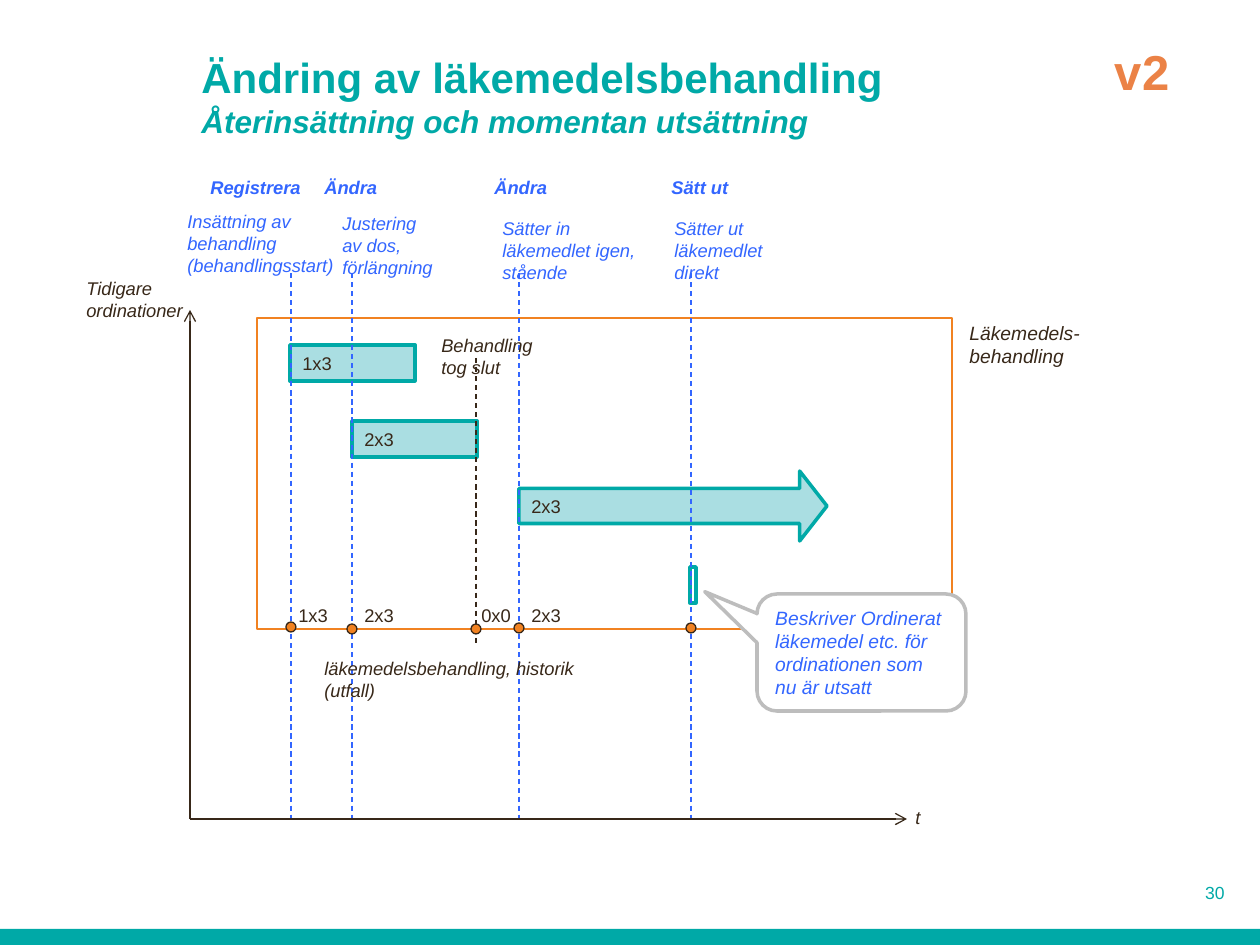
from pptx import Presentation
from pptx.dml.color import RGBColor
from pptx.enum.dml import MSO_LINE
from pptx.enum.shapes import MSO_CONNECTOR, MSO_SHAPE
from pptx.enum.text import MSO_ANCHOR, PP_ALIGN
from pptx.oxml.ns import qn
from pptx.util import Pt
from lxml import etree

PX = 914400 / 126
DASH = MSO_LINE.DASH
STRAIGHT = MSO_CONNECTOR.STRAIGHT
RECT, OVAL = MSO_SHAPE.RECTANGLE, MSO_SHAPE.OVAL
ARROW, BUBBLE = MSO_SHAPE.RIGHT_ARROW, MSO_SHAPE.ROUNDED_RECTANGULAR_CALLOUT
TOP, MIDDLE, BOTTOM = MSO_ANCHOR.TOP, MSO_ANCHOR.MIDDLE, MSO_ANCHOR.BOTTOM
LEFT, CENTER, RIGHT = PP_ALIGN.LEFT, PP_ALIGN.CENTER, PP_ALIGN.RIGHT

HEX = {
    "teal": "00A9A7", "pale": "AADEE2", "blue": "3366FF", "dark": "382819",
    "orange": "F18221", "peach": "EB8246", "gray": "BDBDBD", "white": "FFFFFF",
}
RGB = {name: RGBColor.from_string(code) for name, code in HEX.items()}

prs = Presentation()
prs.slide_width, prs.slide_height = round(1260 * PX), round(945 * PX)
slide = prs.slides.add_slide(prs.slide_layouts[6])
shapes = slide.shapes


def write(box, text, color="dark", anchor=TOP, align=LEFT, **style):
    frame = box.text_frame
    frame.word_wrap = True
    frame.vertical_anchor = anchor
    frame.text = text
    look = {"name": "Arial", "size": Pt(10.5)} | style
    for para in frame.paragraphs:
        para.alignment = align
        for run in para.runs:
            run.font.color.rgb = RGB[color]
            for key, value in look.items():
                setattr(run.font, key, value)


def draw(kind, place, fill=None, line=None, width=0.75):
    shape = shapes.add_shape(kind, *[round(v * PX) for v in place])
    shape.shadow.inherit = False
    if fill:
        shape.fill.solid()
        shape.fill.fore_color.rgb = RGB[fill]
    else:
        shape.fill.background()
    if line:
        shape.line.color.rgb = RGB[line]
        shape.line.width = Pt(width)
    else:
        shape.line.fill.background()
    return shape


# Bottom band
draw(RECT, (0, 929, 1260, 16), "teal")

# Frame, bars, arrow and the momentary order
draw(RECT, (257, 318, 695, 311), line="orange")
for kind, place, fill, text in [
    (RECT, (290, 345, 125, 36), "pale", "1x3"),
    (RECT, (352, 421, 125, 36), "pale", "2x3"),
    (ARROW, (519, 471, 308, 70), "pale", "2x3"),
    (RECT, (690, 567, 6, 36), "white", ""),
]:
    bar = draw(kind, place, fill, "teal", 2)
    if kind == ARROW:
        bar.adjustments[1] = 0.39
    if text:
        write(bar, text, anchor=MIDDLE)

# Event lines, end of treatment and axes
lines = [(x, 273, x, 818, "blue", DASH) for x in (291, 352, 519, 691)]
lines += [
    (476, 358, 476, 645, "dark", DASH),
    (190, 819, 907, 819, "dark", None),
    (190, 819, 190, 310, "dark", None),
]
for *ends, color, dash in lines:
    link = shapes.add_connector(STRAIGHT, *[round(v * PX) for v in ends])
    link.line.color.rgb = RGB[color]
    link.line.width = Pt(0.75)
    if dash:
        link.line.dash_style = dash
    else:
        tail = etree.SubElement(link.line._get_or_add_ln(), qn("a:tailEnd"))
        tail.set("type", "arrow")
    etree.SubElement(link._element.spPr, qn("a:effectLst"))

# Outcome dots
for x, y in [(291, 627), (352, 629), (476, 629), (519, 628), (691, 628)]:
    draw(OVAL, (x - 5, y - 5, 10, 10), "orange", "dark")

# Text labels
ital = {"italic": True}
note = {"color": "blue", "italic": True}
head = note | {"bold": True}
labels = [
    ((198, 170, 120, 35), "Registrera", head),
    ((312, 170, 120, 35), "Ändra", head),
    ((482, 170, 120, 35), "Ändra", head),
    ((659, 170, 120, 35), "Sätt ut", head),
    ((175, 204, 176, 79), "Insättning av behandling\n(behandlingsstart)", note),
    ((330, 206, 121, 79), "Justering av dos, förlängning", note),
    ((490, 211, 161, 79), "Sätter in läkemedlet igen, stående", note),
    ((662, 211, 161, 79), "Sätter ut läkemedlet\ndirekt", note),
    ((74, 271, 126, 57), "Tidigare ordinationer", ital),
    ((429, 328, 126, 57), "Behandling\vtog slut", ital),
    ((957, 315, 184, 59), "Läkemedels-\vbehandling", ital | {"size": Pt(11)}),
    ((312, 651, 323, 57), "läkemedelsbehandling, historik (utfall)", ital),
    ((903, 800, 39, 35), "t", ital),
    ((286, 598, 73, 35), "1x3", {}),
    ((352, 598, 73, 35), "2x3", {}),
    ((469, 598, 73, 35), "0x0", {}),
    ((519, 598, 73, 35), "2x3", {}),
    ((1062, 35, 160, 72), "v2",
     {"color": "peach", "align": CENTER, "size": Pt(28), "bold": True}),
    ((1152, 876, 85, 30), "30",
     {"color": "teal", "align": RIGHT, "size": Pt(10)}),
    ((189, 50, 936, 96),
     "Ändring av läkemedelsbehandling\vÅterinsättning och momentan utsättning",
     {"color": "teal", "anchor": BOTTOM, "size": Pt(24), "bold": True}),
]
for place, text, style in labels:
    box = shapes.add_textbox(*[round(v * PX) for v in place])
    write(box, text, **style)

# Subtitle is the second run of the title, added last
sub = box.text_frame.paragraphs[0].runs[1].font
sub.size, sub.italic = Pt(18), True

# Callout
bubble = draw(BUBBLE, (757, 594, 209, 117), "white", "gray", 2)
for i, value in enumerate((-0.75, -0.52, 0.17)):
    bubble.adjustments[i] = value
write(bubble, "Beskriver Ordinerat läkemedel etc. för ordinationen som nu är utsatt",
      anchor=TOP, size=Pt(11), **note)

prs.save("out.pptx")
